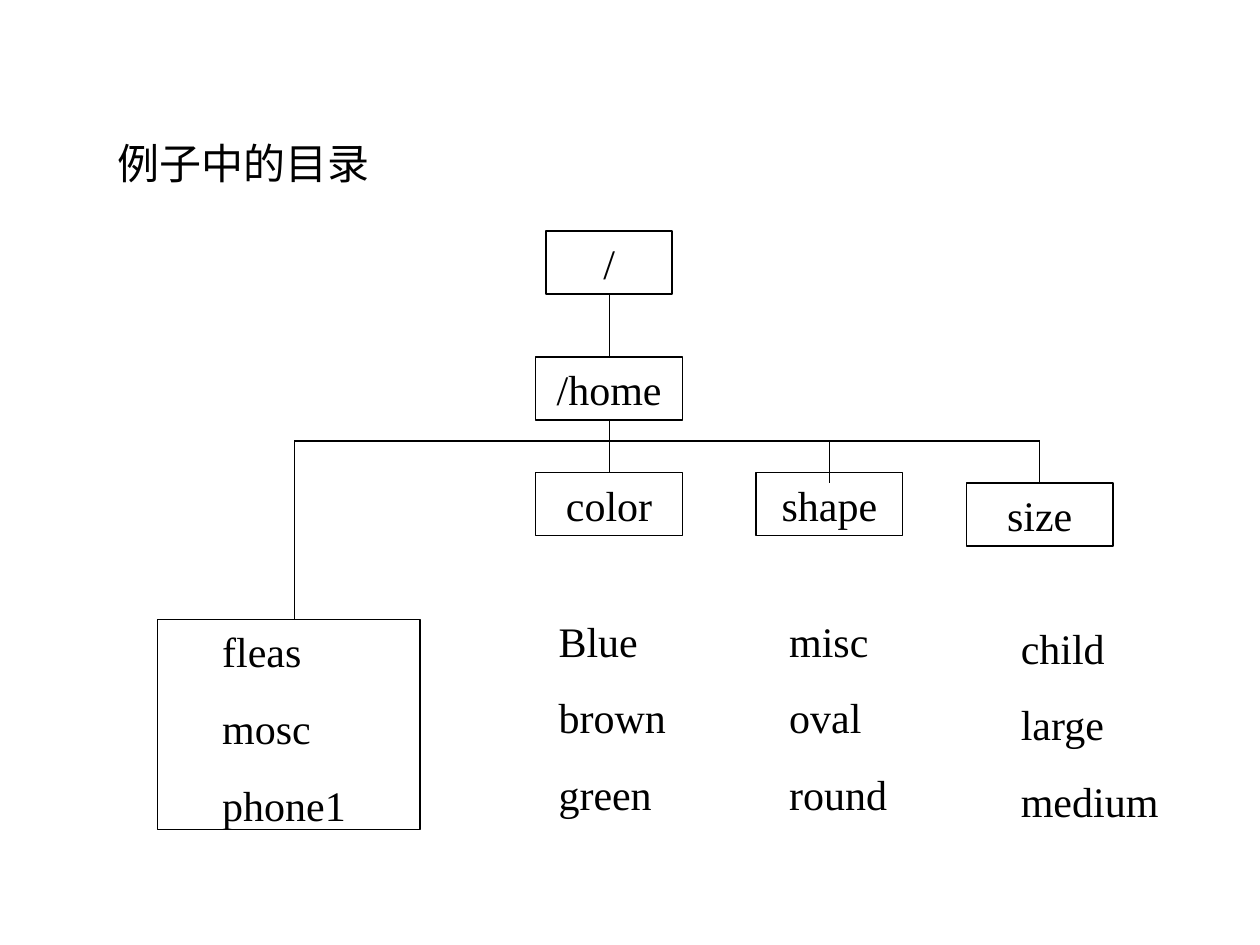
from dataclasses import dataclass

from lxml.etree import SubElement
from pptx import Presentation
from pptx.dml.color import RGBColor
from pptx.enum.shapes import MSO_CONNECTOR, MSO_SHAPE
from pptx.enum.text import MSO_ANCHOR, PP_ALIGN
from pptx.oxml.ns import qn
from pptx.util import Cm, Pt


@dataclass(frozen=True)
class Theme:
    ink: RGBColor = RGBColor(0, 0, 0)
    paper: RGBColor = RGBColor(255, 255, 255)
    font: str = "Times New Roman"
    size: float = 24
    line: float = 0.75
    gap: float = 15


THEME = Theme()
NODE_W, NODE_H = 2.96, 1.27
LIST_H = 4.37
TRUNK_X, BUS_Y = 12.28, 8.89
ROOT_Y, HOME_Y = 4.66, 7.2
FILES_X, FILES_Y = 5.93, 12.49

# Subdirectories: name, centre x, top
FOLDERS = [
    ("size", 20.96, 9.74),
    ("color", TRUNK_X, 9.53),
    ("shape", 16.72, 9.53),
]

# File lists: left, top, width, indent, names
LISTS = [
    (2.96, FILES_Y, 5.93, 1.27, ("fleas", "mosc", "phone1")),
    (15.66, 12.28, 4.87, 0, ("misc", "oval", "round")),
    (11.01, 12.28, 4.87, 0, ("Blue", "brown", "green")),
    (19.69, 12.42, 4.87, 0.64, ("child", "large", "medium")),
]


def write(s, *lines, align=PP_ALIGN.LEFT, anchor=MSO_ANCHOR.TOP,
          before=0, indent=0, wrap=True):
    tf = s.text_frame
    tf.word_wrap = wrap
    tf.vertical_anchor = anchor
    tf.margin_left = Cm(0.25 + indent)
    for i, line in enumerate(lines):
        p = tf.add_paragraph() if i else tf.paragraphs[0]
        p.alignment = align
        p.space_before = Pt(before)
        r = p.add_run()
        r.text = line
        r.font.name = THEME.font
        r.font.size = Pt(THEME.size)
        r.font.color.rgb = THEME.ink


def add_text(sp, x, y, w, h, *lines, **fmt):
    s = sp.add_textbox(Cm(x), Cm(y), Cm(w), Cm(h))
    write(s, *lines, **fmt)


def add_box(sp, x, y, w, h):
    s = sp.add_shape(MSO_SHAPE.RECTANGLE, Cm(x), Cm(y), Cm(w), Cm(h))
    s.shadow.inherit = False
    s.fill.solid()
    s.fill.fore_color.rgb = THEME.paper
    s.line.color.rgb = THEME.ink
    s.line.width = Pt(THEME.line)
    return s


def add_node(sp, name, cx, y, w=NODE_W):
    s = add_box(sp, cx - w / 2, y, w, NODE_H)
    write(s, name, align=PP_ALIGN.CENTER, anchor=MSO_ANCHOR.MIDDLE, wrap=False)


def add_line(sp, x1, y1, x2, y2):
    s = sp.add_connector(MSO_CONNECTOR.STRAIGHT, Cm(x1), Cm(y1), Cm(x2), Cm(y2))
    s.line.color.rgb = THEME.ink
    s.line.width = Pt(THEME.line)
    SubElement(s._element.spPr, qn("a:effectLst"))


def main():
    prs = Presentation()
    prs.slide_width, prs.slide_height = Cm(25.4), Cm(19.05)
    sp = prs.slides.add_slide(prs.slide_layouts[6]).shapes

    # Title
    add_text(sp, 2.12, 2.12, 21.59, 2.33, "例子中的目录", anchor=MSO_ANCHOR.MIDDLE)

    # Directory nodes
    add_node(sp, "/home", TRUNK_X, HOME_Y)
    for name, cx, y in FOLDERS:
        add_node(sp, name, cx, y)
    add_node(sp, "/", TRUNK_X, ROOT_Y, w=2.54)

    # Trunk, horizontal bus and its drops
    add_line(sp, TRUNK_X, ROOT_Y + NODE_H, TRUNK_X, HOME_Y)
    add_line(sp, TRUNK_X, HOME_Y + NODE_H, TRUNK_X, 9.53)
    for x, bottom in ((20.96, 9.74), (16.72, 9.74), (FILES_X, FILES_Y)):
        add_line(sp, TRUNK_X, BUS_Y, x, BUS_Y)
        add_line(sp, x, BUS_Y, x, bottom)

    # Frame and file lists
    add_box(sp, 3.18, FILES_Y, 5.29, 4.23)
    for x, y, w, indent, names in LISTS:
        add_text(sp, x, y, w, LIST_H, *names, before=THEME.gap, indent=indent)

    prs.save("out.pptx")


if __name__ == "__main__":
    main()
